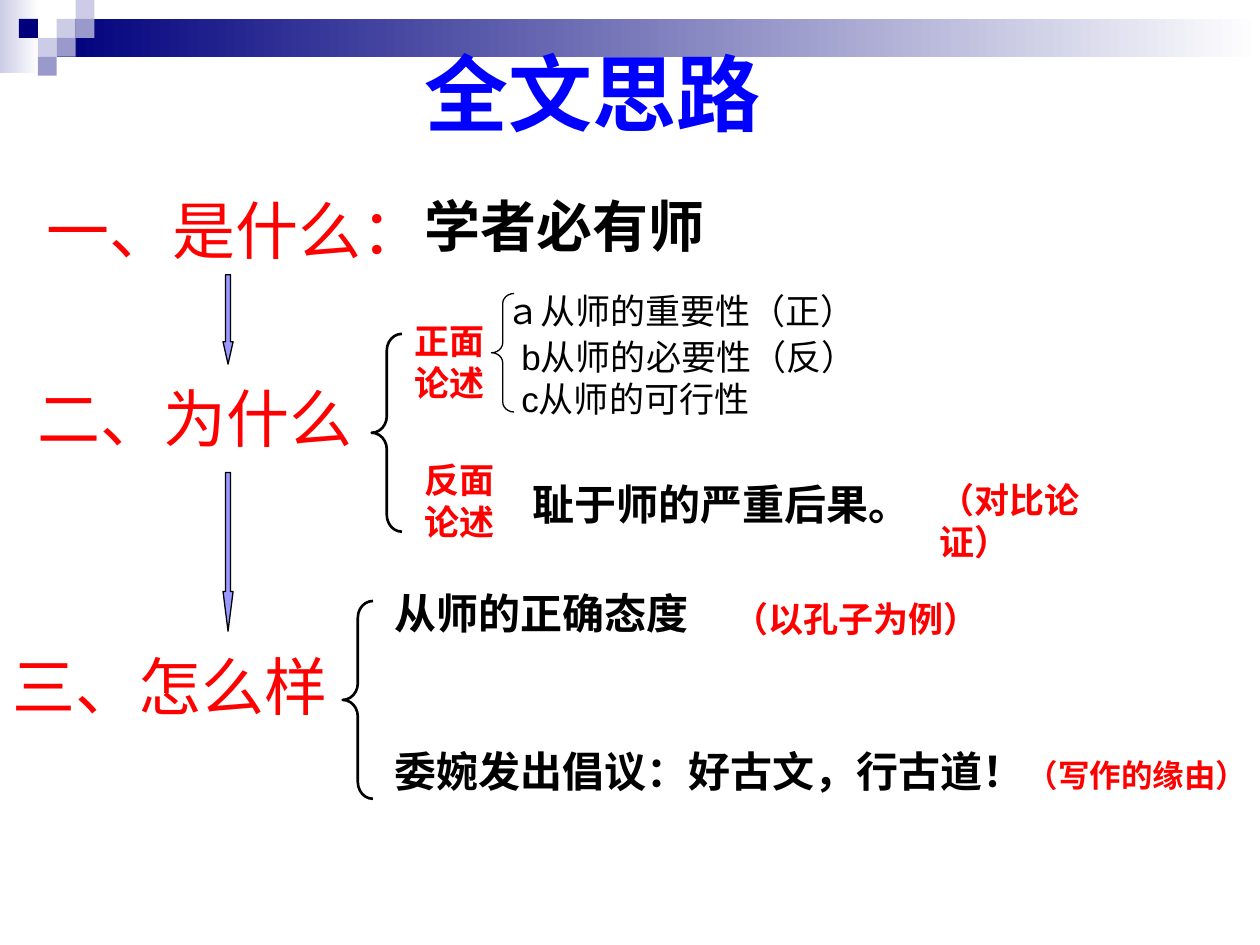
from collections import namedtuple

from lxml import etree
from pptx import Presentation
from pptx.dml.color import RGBColor
from pptx.enum import shapes, text
from pptx.util import Inches, Pt

NAVY = RGBColor(0x00, 0x00, 0x7D)
LAVENDER = RGBColor(0xCC, 0xCC, 0xE6)
PERIWINKLE = RGBColor(0x99, 0x99, 0xCC)
ARROW_FILL = RGBColor(0x99, 0x99, 0xFF)
WHITE = RGBColor(0xFF, 0xFF, 0xFF)
BLACK = RGBColor(0x00, 0x00, 0x00)
RED = RGBColor(0xFF, 0x00, 0x00)
BLUE = RGBColor(0x00, 0x00, 0xFF)

SERIF, SANS = "Times New Roman", "Arial"
Box = namedtuple("Box", "left top width height")

TITLE = {"name": SERIF, "size": Pt(48), "bold": True, "color": BLUE}
HEADING = {"name": SERIF, "size": Pt(36), "bold": False, "color": RED}
THESIS = {"name": SERIF, "size": Pt(32), "bold": True, "color": BLACK}
POINT = {"name": SANS, "size": Pt(24), "bold": True, "color": BLACK}
CONSEQUENCE = {**POINT, "name": SERIF}
NOTE = {"name": SANS, "size": Pt(20), "bold": True, "color": RED}
SMALL_NOTE = {**NOTE, "size": Pt(18)}
REASON = {"name": SANS, "size": Pt(20), "bold": False, "color": BLACK}


def place(box, left, top, width, height):
    """Return slide lengths for a part measured from the corner of its box."""
    return [Inches(n) for n in (box.left + left, box.top + top, width, height)]


def format_span(span, style):
    """Apply a dict of font values to a run."""
    for key, value in style.items():
        if key == "color":
            span.font.color.rgb = value
        else:
            setattr(span.font, key, value)


def add_text(page, box, part, lines, style, wrap=True):
    """Place a text box with one paragraph for each line."""
    label = page.shapes.add_textbox(*place(box, *part))
    frame = label.text_frame
    frame.word_wrap = wrap
    frame.auto_size = text.MSO_AUTO_SIZE.SHAPE_TO_FIT_TEXT
    for index, line in enumerate(lines):
        para = frame.paragraphs[0] if index == 0 else frame.add_paragraph()
        span = para.add_run()
        span.text = line
        format_span(span, style)
    return label


def fill_white(label):
    """Give a text box a white ground."""
    label.fill.solid()
    label.fill.fore_color.rgb = WHITE


def add_block(page, box, part, color, fade=False):
    """Place a borderless rectangle, plain or fading to white."""
    block = page.shapes.add_shape(shapes.MSO_SHAPE.RECTANGLE, *place(box, *part))
    block.shadow.inherit = False
    block.line.fill.background()
    if fade:
        block.fill.gradient()
        block.fill.gradient_angle = 0
        for stop, shade in zip(block.fill.gradient_stops, (color, WHITE)):
            stop.color.rgb = shade
    else:
        block.fill.solid()
        block.fill.fore_color.rgb = color


def add_brace(page, box, part, curve, weight):
    """Place a black left brace."""
    brace = page.shapes.add_shape(shapes.MSO_SHAPE.LEFT_BRACE, *place(box, *part))
    brace.shadow.inherit = False
    brace.fill.background()
    brace.line.color.rgb = BLACK
    brace.line.width = Pt(weight)
    brace.adjustments[0] = curve


def add_arrow(page, box, head):
    """Fill the box with a slim down arrow."""
    arrow = page.shapes.add_shape(
        shapes.MSO_SHAPE.DOWN_ARROW, *place(box, 0, 0, box.width, box.height))
    arrow.shadow.inherit = False
    arrow.fill.solid()
    arrow.fill.fore_color.rgb = ARROW_FILL
    arrow.line.color.rgb = BLACK
    arrow.line.width = Pt(0.75)
    arrow.adjustments[1] = head


def add_banner(page, box):
    """Draw the fading bar and the stepped squares at the top."""
    side = 0.15
    add_block(page, box, (0, 0, 0.31, 0.58), LAVENDER, fade=True)
    add_block(page, box, (3 * side, side, box.width - 3 * side, 2 * side), NAVY, fade=True)
    squares = [(3, 1, LAVENDER), (4, 0, LAVENDER), (4, 1, PERIWINKLE), (2, 2, LAVENDER),
               (1, 1, NAVY), (3, 2, PERIWINKLE), (2, 3, PERIWINKLE)]
    for column, row, color in squares:
        add_block(page, box, (column * side, row * side, side, side), color)


def add_title(page, box):
    """Write the slide title."""
    add_text(page, box, (0, 0, box.width, box.height), ["全文思路"], TITLE)


def add_what(page, box):
    """Write the first section and its thesis."""
    add_text(page, box, (0.27, 0, 4.65, 0.7), ["一、是什么："], HEADING)
    thesis = add_text(page, box, (3.27, 0, 3.94, 0.64), ["学者必有师"], THESIS)
    fill_white(thesis)


def add_reasons(page, box):
    """Write the three reasons with their brace."""
    lines = ["ａ从师的重要性（正）", "b从师的必要性（反）", "c从师的可行性"]
    reasons = add_text(page, box, (0, 0, box.width, box.height), lines, REASON)
    fill_white(reasons)
    frame = reasons.text_frame
    frame.auto_size = text.MSO_AUTO_SIZE.NONE
    frame.margin_top = Inches(0.2)
    for para, indent in zip(frame.paragraphs, (0.33, 0.46, 0.46)):
        para._p.get_or_add_pPr().set("marL", str(Inches(indent)))
    frame.paragraphs[1].space_before = Pt(2)
    frame.paragraphs[0].runs[0].font.name = SERIF
    add_brace(page, box, (0.32, 0.23, 0.18, 0.94), 0.44, 0.75)


def add_why(page, box):
    """Write the second section with both sides of its argument."""
    add_text(page, box, (0.2, 0.86, 4.65, 0.7), ["二、为什么"], HEADING)
    add_brace(page, box, (2.95, 0.55, 0.24, 1.57), 0.55, 1.5)
    add_reasons(page, Box(box.left + 3.58, box.top, 6.42, 1.87))
    add_text(page, box, (3.19, 0.39, 0.87, 0.77), ["正面", "论述"], NOTE)
    add_text(page, box, (4.13, 1.65, 4.02, 0.5), ["耻于师的严重后果。"], CONSEQUENCE)
    add_text(page, box, (3.27, 1.49, 1.02, 0.77), ["反面", "论述"], NOTE)
    add_text(page, box, (7.36, 1.65, 1.81, 0.77), ["（对比论证）"], NOTE)


def add_how(page, box):
    """Write the third section with its two points."""
    add_text(page, box, (0, 0.48, 4.65, 0.7), ["三、怎么样"], HEADING)
    add_brace(page, box, (2.72, 0.16, 0.24, 1.57), 0.55, 1.5)
    add_text(page, box, (3.03, 0, 2.84, 0.5), ["从师的正确态度"], POINT)
    add_text(page, box, (5.72, 0.08, 2.15, 0.44), ["（以孔子为例）"], NOTE, wrap=False)
    add_text(page, box, (3.03, 1.26, 5.43, 0.5), ["委婉发出倡议：好古文，行古道！"], POINT)
    add_text(page, box, (8.05, 1.34, 1.95, 0.4), ["（写作的缘由）"], SMALL_NOTE, wrap=False)


def main():
    """Build and save the slide."""
    deck = Presentation()
    deck.slide_width, deck.slide_height = Inches(10), Inches(7.5)
    page = deck.slides.add_slide(deck.slide_layouts[6])
    add_banner(page, Box(0, 0, 10, 0.6))
    add_title(page, Box(3.27, 0.28, 3.78, 0.9))
    add_what(page, Box(0, 1.47, 10, 0.7))
    add_why(page, Box(0, 2.1, 10, 2.42))
    add_how(page, Box(0, 4.61, 10, 1.76))
    add_arrow(page, Box(1.77, 2.18, 0.08, 0.71), 2.22)
    add_arrow(page, Box(1.77, 3.75, 0.08, 1.26), 3.94)
    deck.save("out.pptx")


if __name__ == "__main__":
    main()
